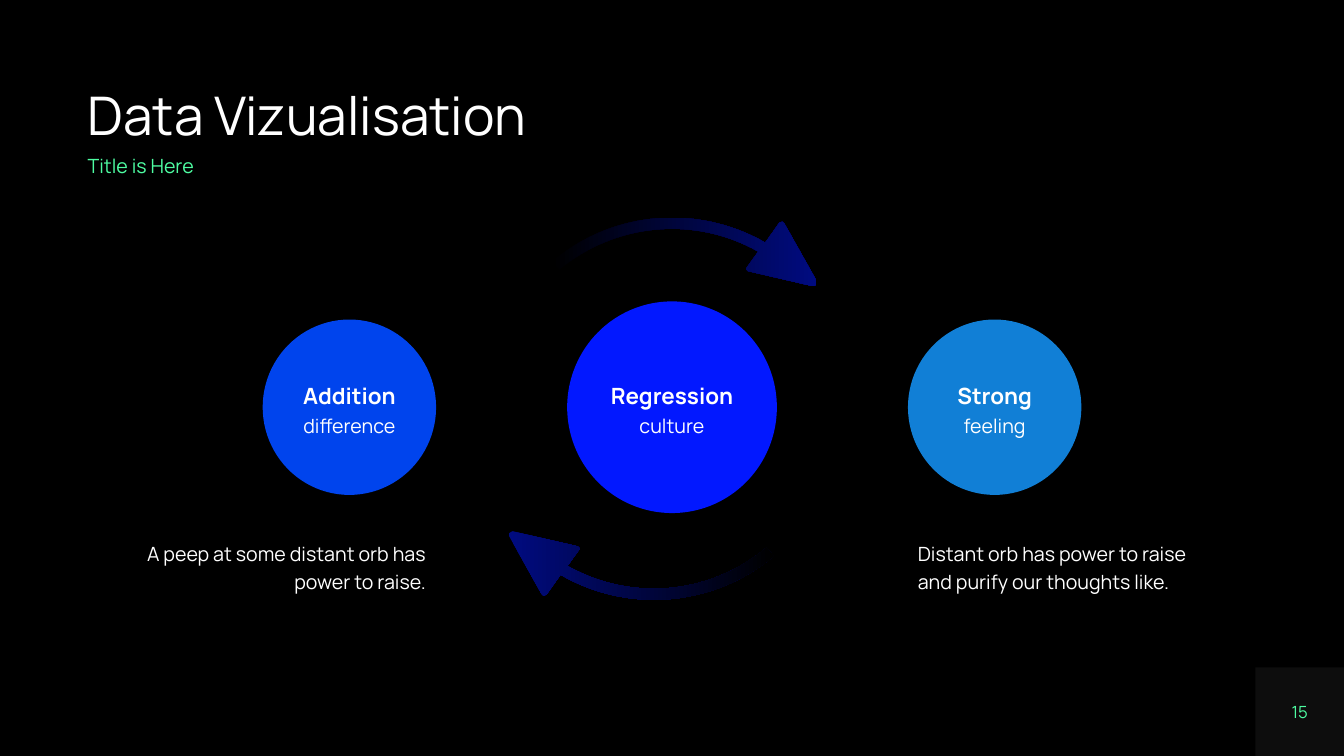
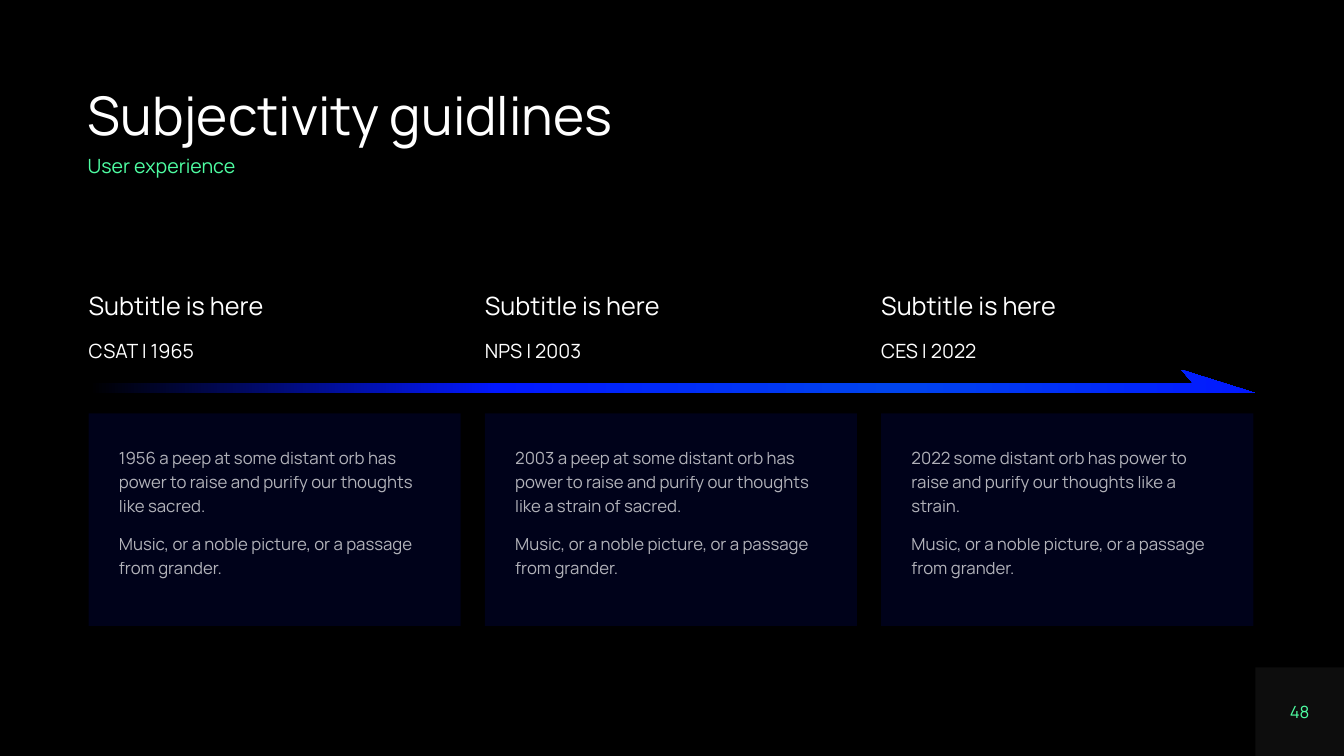
from dataclasses import dataclass
from math import cos, radians, sin

from lxml.etree import SubElement
from pptx import Presentation
from pptx.dml.color import RGBColor
from pptx.enum.shapes import MSO_SHAPE as Shape
from pptx.enum.text import MSO_ANCHOR as Anchor, MSO_AUTO_SIZE as AutoSize, PP_ALIGN as Align
from pptx.oxml.ns import qn
from pptx.util import Inches, Pt


@dataclass(frozen=True)
class Theme:
    width: float = 13.33
    height: float = 7.5
    margin: float = 0.87
    tab: float = 0.88
    col_start: float = 0.88
    col_pitch: float = 3.93
    col_width: float = 3.69
    font: str = "Manrope"
    black: str = "000000"
    white: str = "FFFFFF"
    green: str = "4EFDA2"
    gray: str = "808080"
    navy: str = "000B80"
    blue: str = "0218FF"
    royal: str = "0044ED"
    sky: str = "117FD6"
    title: int = 38
    heading: int = 18
    label: int = 16
    body: int = 14
    small: int = 12

    @property
    def content(self):
        return self.width - 2 * self.margin

    def col(self, i):
        return self.col_start + i * self.col_pitch


T = Theme()


def rgb(color):
    return RGBColor.from_string(color)


def apply(obj, **fmt):
    for name, value in fmt.items():
        setattr(obj, name, value)


def fade(element, percent):
    for color in element.iter(qn("a:srgbClr")):
        SubElement(color, qn("a:alpha"), val=str(percent * 1000))


def write(sp, lines, align=Align.LEFT, spacing=1.2, before=0,
          anchor=Anchor.TOP, insets=(0, 0, 0, 0), alpha=None):
    tf = sp.text_frame
    left, top, right, bottom = map(Inches, insets)
    apply(tf, margin_left=left, margin_top=top, margin_right=right,
          margin_bottom=bottom, word_wrap=True, vertical_anchor=anchor,
          auto_size=AutoSize.NONE)
    for i, (text, size, color, bold) in enumerate(lines):
        p = tf.paragraphs[0] if i == 0 else tf.add_paragraph()
        apply(p, alignment=align, line_spacing=spacing,
              space_before=Pt(before if i else 0))
        r = p.add_run()
        r.text = text
        apply(r.font, name=T.font, size=Pt(size), bold=bold)
        r.font.color.rgb = rgb(color)
        if alpha:
            fade(r._r, alpha)


def add_text(slide, box, lines, **fmt):
    write(slide.shapes.add_textbox(*map(Inches, box)), lines, **fmt)


def add_block(slide, kind, box, color, alpha=None):
    sp = slide.shapes.add_shape(kind, *map(Inches, box))
    sp.shadow.inherit = False
    sp.line.fill.background()
    sp.fill.solid()
    sp.fill.fore_color.rgb = rgb(color)
    if alpha:
        fade(sp._element.spPr, alpha)
    return sp


def add_outline(slide, points, stops):
    start, *rest = [(Inches(x), Inches(y)) for x, y in points]
    builder = slide.shapes.build_freeform(*start, scale=1.0)
    builder.add_line_segments(rest, close=True)
    sp = builder.convert_to_shape()
    sp.shadow.inherit = False
    sp.line.fill.background()
    sp.fill.gradient()
    spPr = sp._element.spPr
    spPr.find(".//" + qn("a:lin")).set("ang", "0")
    stop_list = spPr.find(".//" + qn("a:gsLst"))
    stop_list.clear()
    for position, color in stops:
        gs = SubElement(stop_list, qn("a:gs"), pos=str(position * 1000))
        SubElement(gs, qn("a:srgbClr"), val=color)


def add_slide(prs, title, subtitle, number):
    slide = prs.slides.add_slide(prs.slide_layouts[5])
    tab = add_block(slide, Shape.RECTANGLE,
                    (T.width - T.tab, T.height - T.tab, T.tab, T.tab), T.gray, 10)
    write(tab, [(number, T.small, T.green, False)],
          align=Align.CENTER, spacing=1, anchor=Anchor.MIDDLE)
    sp = slide.shapes.title
    apply(sp, left=Inches(T.margin), top=Inches(0.89),
          width=Inches(T.content), height=Inches(0.58))
    write(sp, [(title, T.title, T.white, False)], spacing=0.9)
    add_text(slide, (T.margin, 1.55, 2.1, 0.21),
             [(subtitle, T.body, T.green, False)], spacing=0.9)
    return slide


def add_circle(slide, center, size, color, name, detail):
    (x, y), (w, h) = center, size
    sp = add_block(slide, Shape.OVAL, (x - w / 2, y - h / 2, w, h), color)
    write(sp, [(name, T.label, T.white, True), (detail, T.body, T.white, False)],
          align=Align.CENTER, anchor=Anchor.MIDDLE)


def arc(center, radius, start, end, steps=36):
    x, y = center
    angles = [radians(start + (end - start) * i / steps) for i in range(steps + 1)]
    return [(x + radius * sin(a), y - radius * cos(a)) for a in angles]


def curved_arrow():
    center = (T.width / 2, 4.01)
    head = [(7.73, 2.21), (7.76, 2.2), (7.78, 2.22), (8.1, 2.79), (8.1, 2.82),
            (8.07, 2.84), (7.42, 2.69), (7.4, 2.67), (7.41, 2.65)]
    return arc(center, 1.85, -40, 30) + head + arc(center, 1.74, 29.5, -40)


def build_cycle(prs):
    slide = add_slide(prs, "Data Vizualisation", "Title is Here", "15")
    middle, row, offset = T.width / 2, 4.04, 3.2
    side, large = (1.72, 1.74), (2.08, 2.1)
    circles = [
        (side, T.royal, "Addition", "difference"),
        (large, T.blue, "Regression", "culture"),
        (side, T.sky, "Strong", "feeling"),
    ]
    for i, (size, *content) in enumerate(circles):
        add_circle(slide, (middle + (i - 1) * offset, row), size, *content)

    upper = curved_arrow()
    lower = [(13.15 - x, 8.11 - y) for x, y in upper]
    add_outline(slide, upper, [(0, T.black), (100, T.navy)])
    add_outline(slide, lower, [(0, T.navy), (100, T.black)])

    inner = offset - side[0] / 2
    width = 3.1
    captions = [
        (middle - inner - width, Align.RIGHT,
         "A peep at some distant orb has power to raise."),
        (middle + inner, Align.LEFT,
         "Distant orb has power to raise and purify our thoughts like."),
    ]
    for left, align, text in captions:
        add_text(slide, (left, 5.28, width, 0.65),
                 [(text, T.body, T.white, False)],
                 align=align, insets=(0.1, 0.05, 0.1, 0.05))


def build_timeline(prs):
    slide = add_slide(prs, "Subjectivity guidlines", "User experience", "48")
    add_outline(slide,
                [(0.89, 3.8), (11.83, 3.8), (11.72, 3.67), (12.45, 3.9), (0.89, 3.9)],
                [(0, T.black), (35, T.blue), (69, T.royal), (100, T.blue)])
    closing = "Music, or a noble picture, or a passage from grander."
    stages = [
        ("CSAT | 1965", "1956 a peep at some distant orb has power to raise "
                        "and purify our thoughts like sacred."),
        ("NPS | 2003", "2003 a peep at some distant orb has power to raise "
                       "and purify our thoughts like a strain of sacred."),
        ("CES | 2022", "2022 some distant orb has power to raise "
                       "and purify our thoughts like a strain."),
    ]
    for i, (label, text) in enumerate(stages):
        x = T.col(i)
        add_text(slide, (x, 2.82, 1.99, 0.77),
                 [("Subtitle is here", T.heading, T.white, False),
                  (label, T.body, T.white, False)], before=10)
        card = add_block(slide, Shape.RECTANGLE, (x, 4.1, T.col_width, 2.11), T.blue, 10)
        write(card, [(line, T.small, T.white, False) for line in (text, closing)],
              before=10, insets=(0.3, 0.3, 0.3, 0), alpha=70)


def main():
    prs = Presentation()
    apply(prs, slide_width=Inches(T.width), slide_height=Inches(T.height))
    fill = prs.slide_master.background.fill
    fill.solid()
    fill.fore_color.rgb = rgb(T.black)
    build_cycle(prs)
    build_timeline(prs)
    prs.save("out.pptx")


if __name__ == "__main__":
    main()
